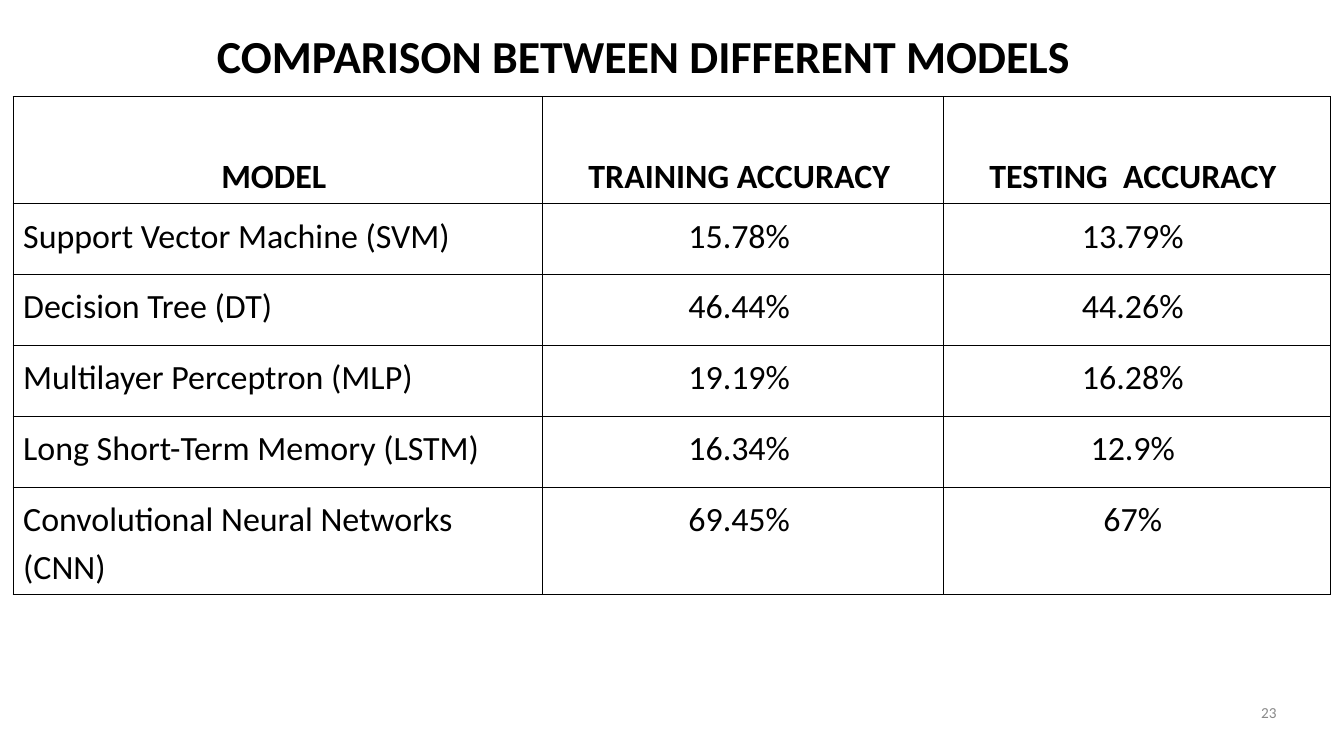
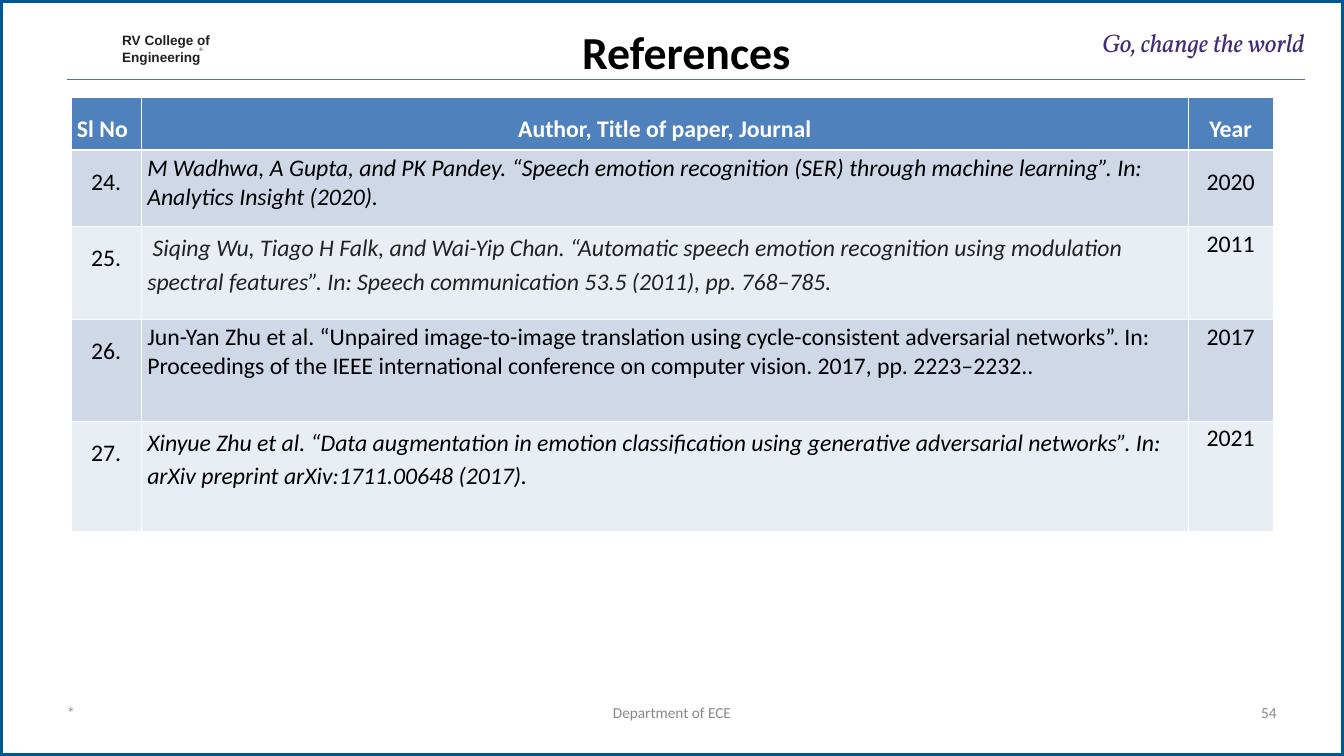
"""Build a model comparison slide and a references slide."""
from lxml import etree
from pptx import Presentation
from pptx import util as u
from pptx.dml.color import RGBColor
from pptx.enum import shapes, text
from pptx.oxml.ns import qn

PX = 9144
FONT = "Calibri"
BLACK = RGBColor(0x00, 0x00, 0x00)
WHITE = RGBColor(0xFF, 0xFF, 0xFF)
GREY = RGBColor(0x89, 0x89, 0x89)
CHARCOAL = RGBColor(0x22, 0x22, 0x22)
COLLEGE = RGBColor(0x23, 0x1F, 0x20)
PURPLE = RGBColor(0x42, 0x2C, 0x75)
FRAME_BLUE = RGBColor(0x00, 0x58, 0x93)
RULE_BLUE = RGBColor(0x5E, 0x6D, 0xB3)
HEADER_BLUE = RGBColor(0x4F, 0x81, 0xBD)
BANDS = [RGBColor(0xD0, 0xD8, 0xE8), RGBColor(0xE9, 0xED, 0xF4)]
LEFT, CENTER, RIGHT = text.PP_ALIGN.LEFT, text.PP_ALIGN.CENTER, text.PP_ALIGN.RIGHT


def write(holder, content, size, color=BLACK, align=LEFT, spacing=1.0,
          font=FONT, bold=False, italic=False, box=None):
    frame = holder.text_frame
    frame.text = content
    if box:
        holder.left, holder.top, holder.width, holder.height = [u.Emu(n * PX) for n in box]
        frame.margin_left = frame.margin_top = frame.margin_right = frame.margin_bottom = 0
        frame.vertical_anchor = text.MSO_ANCHOR.TOP
        frame.auto_size = text.MSO_AUTO_SIZE.NONE
        frame.word_wrap = True
    for paragraph in frame.paragraphs:
        paragraph.alignment = align
        paragraph.line_spacing = spacing
        for run in paragraph.runs:
            run.font.name = font
            run.font.size = u.Pt(size)
            run.font.color.rgb = color
            run.font.bold = bold
            run.font.italic = italic


def add_grid(slide, left, top, widths, heights, margins, border, weight, header_weight):
    table = slide.shapes.add_table(
        len(heights), len(widths), left * PX, top * PX,
        sum(widths) * PX, sum(heights) * PX).table
    table.horz_banding = False
    for column, width in zip(table.columns, widths):
        column.width = u.Emu(width * PX)
    for number, (row, height) in enumerate(zip(table.rows, heights)):
        row.height = u.Emu(height * PX)
        for cell in row.cells:
            cell.margin_left, cell.margin_top, cell.margin_right, cell.margin_bottom = [
                u.Emu(n * PX) for n in margins]
            edges = {"a:lnL": weight, "a:lnR": weight,
                     "a:lnT": header_weight if number == 1 else weight,
                     "a:lnB": header_weight if number == 0 else weight}
            properties = cell._tc.get_or_add_tcPr()
            for position, (tag, points) in enumerate(edges.items()):
                line = etree.Element(qn(tag), w=str(u.Pt(points)))
                fill = etree.SubElement(line, qn("a:solidFill"))
                etree.SubElement(fill, qn("a:srgbClr"), val=str(border))
                properties.insert(position, line)
    return table


presentation = Presentation()
presentation.slide_width = u.Emu(2199 * PX)
presentation.slide_height = u.Emu(1237 * PX)
title_only = presentation.slide_layouts[5]
comparison = presentation.slides.add_slide(title_only)
references = presentation.slides.add_slide(title_only)

titles = [
    (comparison, "COMPARISON BETWEEN DIFFERENT MODELS", (17, 45, 2072, 91)),
    (references, "References", (563, 39, 1120, 91)),
]
for slide, title, box in titles:
    write(slide.shapes.title, title, 54, align=CENTER, bold=True, box=box)

footers = [
    (comparison, "23", RIGHT, (1583, 1150, 506, 30)),
    (references, "*", LEFT, (110, 1150, 506, 30)),
    (references, "Department of ECE", CENTER, (748, 1150, 703, 30)),
    (references, "54", RIGHT, (1583, 1150, 506, 30)),
]
for slide, footer, align, box in footers:
    write(slide.shapes.add_textbox(0, 0, 0, 0), footer, 18, GREY, align, box=box)

accuracies = [
    ("MODEL", "TRAINING ACCURACY", "TESTING  ACCURACY"),
    ("Support Vector Machine (SVM)", "15.78%", "13.79%"),
    ("Decision Tree (DT)", "46.44%", "44.26%"),
    ("Multilayer Perceptron (MLP)", "19.19%", "16.28%"),
    ("Long Short-Term Memory (LSTM)", "16.34%", "12.9%"),
    ("Convolutional Neural Networks (CNN)", "69.45%", "67%"),
]
accuracy_table = add_grid(comparison, 21, 158, [867, 656, 632], [175, 116, 116, 116, 116, 175],
                          (17, 10, 30, 10), BLACK, 0.75, 0.75)
for row, values in enumerate(accuracies):
    for column, value in enumerate(values):
        cell = accuracy_table.cell(row, column)
        cell.fill.background()
        if row == 0:
            cell.vertical_anchor = text.MSO_ANCHOR.BOTTOM
        align = LEFT if row and column == 0 else CENTER
        write(cell, value, 40, align=align, spacing=1.15, bold=row == 0)

page_frame = references.shapes.add_shape(
    shapes.MSO_SHAPE.RECTANGLE, 0, 0, presentation.slide_width, presentation.slide_height)
page_frame.shadow.inherit = False
page_frame.fill.solid()
page_frame.fill.fore_color.rgb = WHITE
page_frame.line.color.rgb = FRAME_BLUE
page_frame.line.width = u.Pt(6)
references.shapes.element.insert(2, page_frame.element)

rule = references.shapes.add_connector(
    shapes.MSO_CONNECTOR.STRAIGHT, 110 * PX, 130 * PX, 2136 * PX, 130 * PX)
rule.line.color.rgb = RULE_BLUE
rule.line.width = u.Pt(1.25)
etree.SubElement(rule.element.spPr, qn("a:effectLst"))

banner = [
    ("RV College of\nEngineering", 16, COLLEGE, LEFT, 1.06, "Arial", True, False, (200, 50, 150, 57)),
    ("®", 6, COLLEGE, LEFT, 1.0, "Arial", False, False, (326, 76, 10, 10)),
    ("Go, change the world", 30, PURPLE, RIGHT, 1.0, "Vollkorn", False, True, (1733, 45, 402, 50)),
]
for label in banner:
    write(references.shapes.add_textbox(0, 0, 0, 0), *label)

papers = [
    ("24.", "M Wadhwa, A Gupta, and PK Pandey. “Speech emotion recognition (SER) through machine "
     "learning”. In: Analytics Insight (2020).", "2020", BLACK, True, 1.0, 1.5),
    ("25.", " Siqing Wu, Tiago H Falk, and Wai-Yip Chan. “Automatic speech emotion recognition using "
     "modulation spectral features”. In: Speech communication 53.5 (2011), pp. 768–785.",
     "2011", CHARCOAL, True, 1.15, 1.0),
    ("26.", "Jun-Yan Zhu et al. “Unpaired image-to-image translation using cycle-consistent "
     "adversarial networks”. In: Proceedings of the IEEE international conference on computer "
     "vision. 2017, pp. 2223–2232..", "2017", BLACK, False, 1.0, 1.0),
    ("27.", "Xinyue Zhu et al. “Data augmentation in emotion classification using generative "
     "adversarial networks”. In: arXiv preprint arXiv:1711.00648 (2017).",
     "2021", BLACK, True, 1.15, 1.0),
]
paper_table = add_grid(references, 116, 159, [115, 1713, 139], [87, 125, 152, 166, 181],
                       (10, 5, 10, 5), WHITE, 1, 3)
headings = [("Sl No", LEFT), ("Author, Title of paper, Journal", CENTER), ("Year", CENTER)]
for column, (heading, align) in enumerate(headings):
    write(paper_table.cell(0, column), heading, 28, WHITE, align, 1.5, bold=True)
for row, (number, citation, year, color, italic, spacing, year_spacing) in enumerate(papers, 1):
    write(paper_table.cell(row, 0), number, 28, align=CENTER, spacing=1.5)
    write(paper_table.cell(row, 1), citation, 28, color, spacing=spacing, italic=italic)
    write(paper_table.cell(row, 2), year, 28, align=CENTER, spacing=year_spacing)
for row, color in enumerate([HEADER_BLUE] + BANDS * 2):
    for cell in paper_table.rows[row].cells:
        cell.fill.solid()
        cell.fill.fore_color.rgb = color

for label, shape in zip(banner, list(references.shapes)[-4:-1]):
    shape.text_frame.word_wrap = True
    write(shape, *label[:-1], box=label[-1])

presentation.save("out.pptx")
